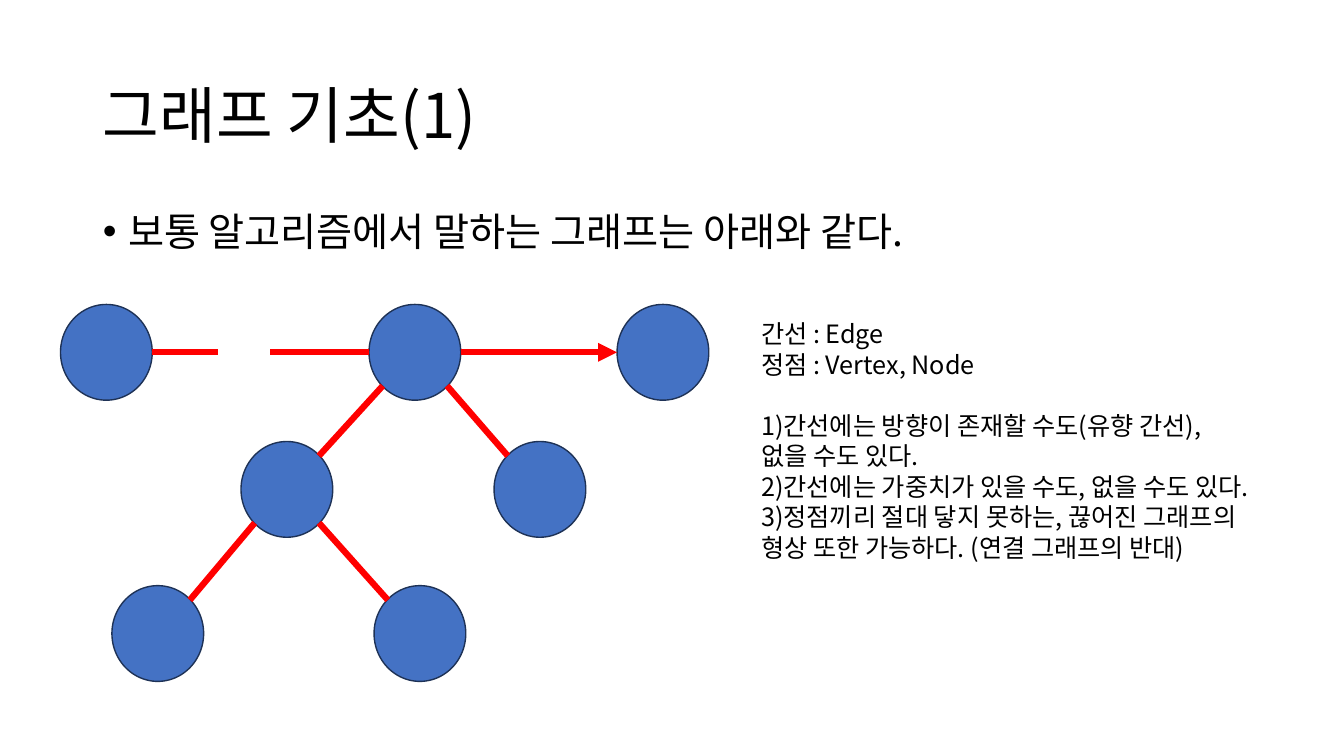
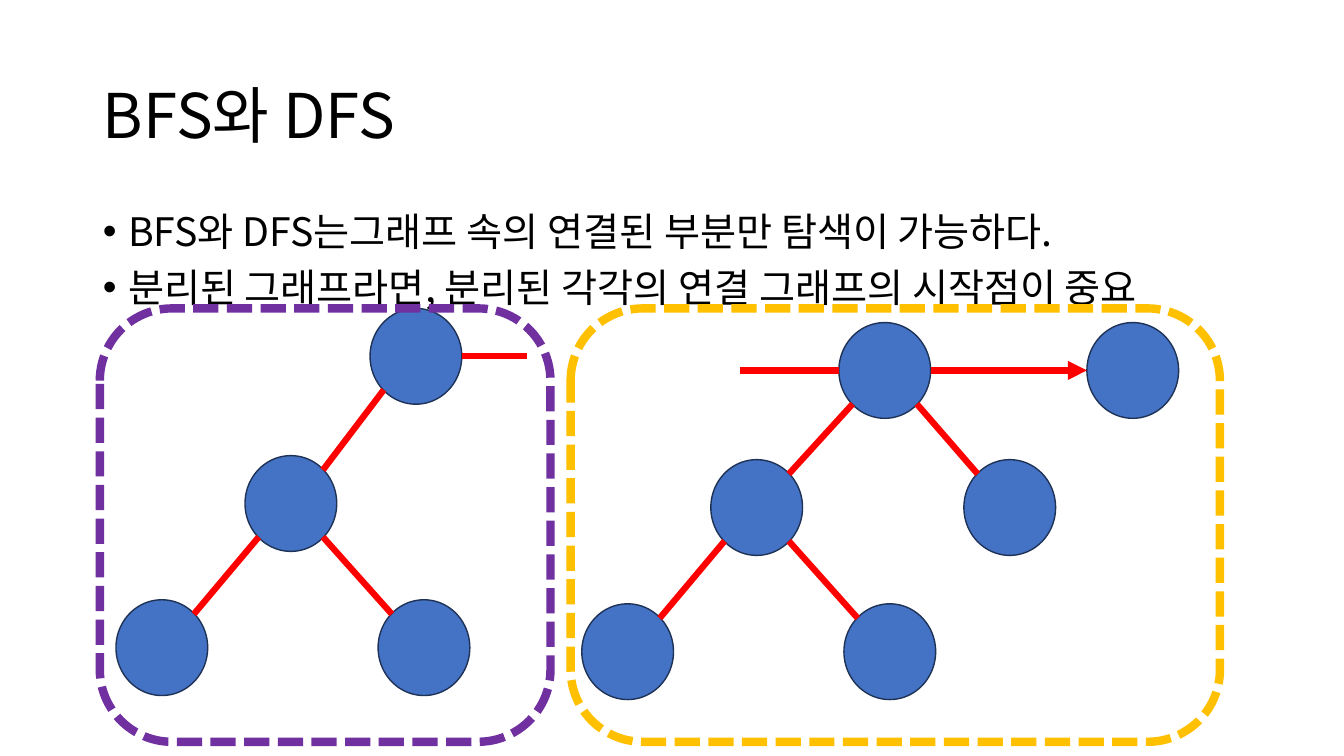
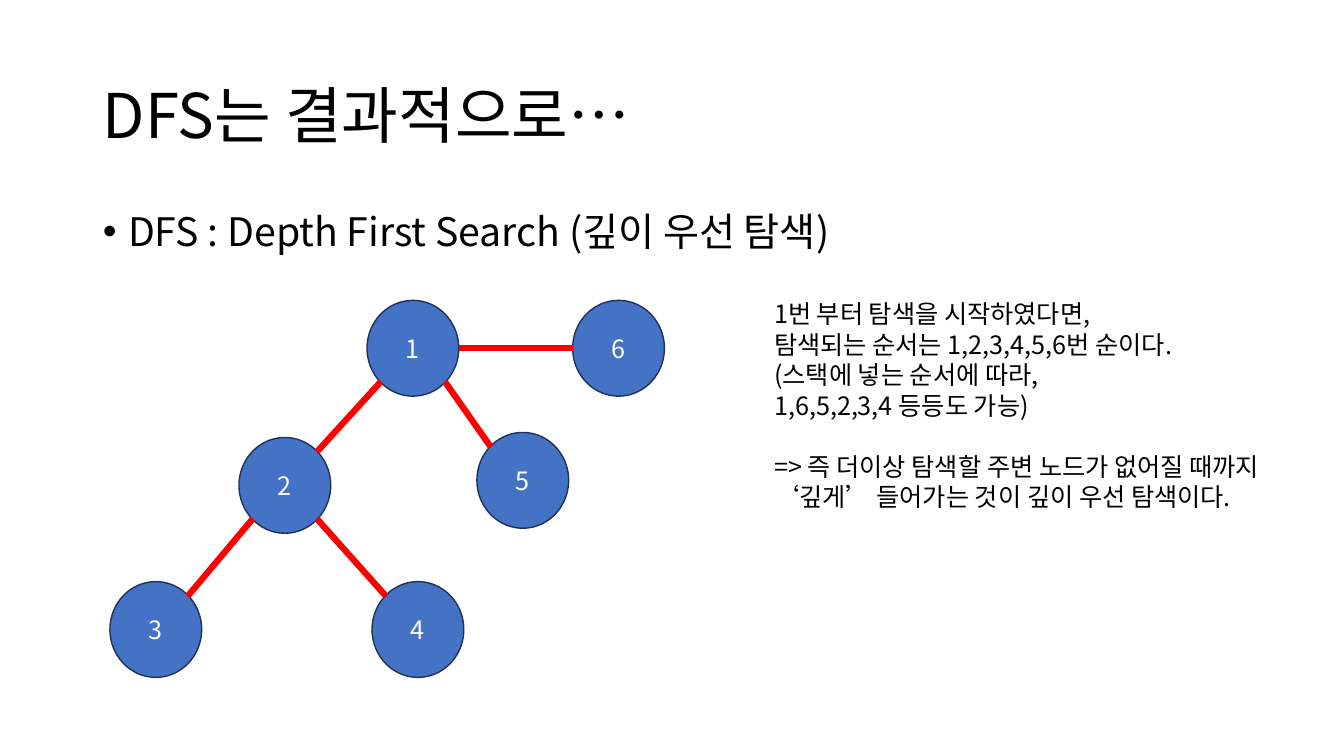
import pptx
import pptx.util
import pptx.dml.color
import pptx.enum.dml
import pptx.enum.shapes
import pptx.enum.text
import pptx.oxml
import pptx.oxml.ns

PX = 9144
FONT = "Noto Sans CJK KR"
COLORS = {
    "text": "000000",
    "label": "FFFFFF",
    "node": "4472C4",
    "outline": "1E3256",
    "edge": "FF0000",
    "left frame": "7030A0",
    "right frame": "FFC000",
}
NODE_WIDTH, NODE_HEIGHT = 91, 95
SITES = {
    "E": (1, 0.5), "W": (0, 0.5),
    "NE": (0.85, 0.15), "NW": (0.15, 0.15),
    "SE": (0.85, 0.85), "SW": (0.15, 0.85),
}
ALIGN = pptx.enum.text.PP_ALIGN
ANCHOR = pptx.enum.text.MSO_ANCHOR
SHAPE = pptx.enum.shapes.MSO_SHAPE


def write_text(text_frame, lines, size=18, color="text", align=ALIGN.LEFT,
               anchor=ANCHOR.TOP, pitch=21.8, gaps={}, bullet=False):
    text_frame.word_wrap = True
    text_frame.auto_size = pptx.enum.text.MSO_AUTO_SIZE.NONE
    text_frame.vertical_anchor = anchor
    for index, line in enumerate(lines):
        paragraph = text_frame.add_paragraph() if index else text_frame.paragraphs[0]
        paragraph.alignment = align
        paragraph.line_spacing = pptx.util.Pt(pitch)
        paragraph.space_before = pptx.util.Pt(gaps.get(index, 0))
        if bullet:
            properties = paragraph._p.get_or_add_pPr()
            properties.set("marL", str(25 * PX))
            properties.set("indent", str(-25 * PX))
        run = paragraph.add_run()
        run.text = line
        run.font.size = pptx.util.Pt(size)
        run.font.name = FONT
        run.font.color.rgb = pptx.dml.color.RGBColor.from_string(COLORS[color])
        east_asian = pptx.oxml.parse_xml(
            f'<a:ea {pptx.oxml.ns.nsdecls("a")} typeface="{FONT}"/>')
        run.font._element.find(pptx.oxml.ns.qn("a:latin")).addnext(east_asian)


def draw_edge(slide, start, end, arrow=False):
    connector = slide.shapes.add_connector(
        pptx.enum.shapes.MSO_CONNECTOR.STRAIGHT,
        *[round(length * PX) for length in (*start, *end)])
    connector.line.width = pptx.util.Pt(4.5)
    connector.line.color.rgb = pptx.dml.color.RGBColor.from_string(COLORS["edge"])
    if arrow:
        connector.line._get_or_add_ln().append(pptx.oxml.parse_xml(
            f'<a:tailEnd {pptx.oxml.ns.nsdecls("a")} type="triangle"/>'))
    connector._element.spPr.append(
        pptx.oxml.parse_xml(f'<a:effectLst {pptx.oxml.ns.nsdecls("a")}/>'))


BRANCH = {"root": (366, 302), "middle": (239, 438), "low left": (111, 581), "low right": (371, 581)}
BRANCH_EDGES = [
    ("root", "SW", "middle", "NE"),
    ("middle", "SW", "low left", "NE"),
    ("middle", "SE", "low right", "NW"),
]
TREE = {**BRANCH, "right": (490, 438), "far": (612, 302)}
TREE_EDGES = BRANCH_EDGES + [("root", "SE", "right", "NW"), ("root", "E", "far", "W")]

SLIDES = [
    {
        "title": "그래프 기초(1)",
        "body": ["보통 알고리즘에서 말하는 그래프는 아래와 같다."],
        "body width": 1150,
        "graphs": [{
            "nodes": {**TREE, "alone": (60, 302)}, "offset": (0, 0), "edges": TREE_EDGES,
            "stubs": [("alone", "E", 65), ("root", "W", -98)], "arrow": "far",
        }],
        "note box": (745, 311, 497, 313),
        "note": [
            "간선 : Edge",
            "정점 : Vertex, Node",
            "1)간선에는 방향이 존재할 수도(유향 간선), 없을 수도 있다.",
            "2)간선에는 가중치가 있을 수도, 없을 수도 있다.",
            "3)정점끼리 절대 닿지 못하는, 끊어진 그래프의 형상 또한 가능하다. (연결 그래프의 반대)",
        ],
        "gap before": 2,
    },
    {
        "title": "BFS와 DFS",
        "body": [
            "BFS와 DFS는그래프 속의 연결된 부분만 탐색이 가능하다.",
            "분리된 그래프라면, 분리된 각각의 연결 그래프의 시작점이 중요",
        ],
        "body width": 1171,
        "graphs": [
            {"nodes": TREE, "offset": (466, 18), "edges": TREE_EDGES,
             "stubs": [("root", "W", -98)], "arrow": "far"},
            {"nodes": {**BRANCH, "root": (363, 292)}, "offset": (4, 14), "edges": BRANCH_EDGES,
             "stubs": [("root", "E", 65)]},
        ],
        "frames": [("left frame", 99, 447), ("right frame", 566, 644)],
    },
    {
        "title": "DFS는 결과적으로…",
        "body": ["DFS : Depth First Search (깊이 우선 탐색)"],
        "body width": 1171,
        "graphs": [{
            "nodes": {**TREE, "right": (475, 433), "far": (570, 302)},
            "offset": (-2, -4), "edges": TREE_EDGES, "stubs": [],
            "labels": {"root": "1", "middle": "2", "low left": "3",
                       "low right": "4", "right": "5", "far": "6"},
        }],
        "note box": (758, 291, 504, 252),
        "note": [
            "1번 부터 탐색을 시작하였다면,",
            "탐색되는 순서는 1,2,3,4,5,6번 순이다.",
            "(스택에 넣는 순서에 따라,",
            "1,6,5,2,3,4 등등도 가능)",
            "=> 즉 더이상 탐색할 주변 노드가 없어질 때까지 ‘깊게’ 들어가는 것이 깊이 우선 탐색이다.",
        ],
        "gap before": 4,
    },
]

presentation = pptx.Presentation()
presentation.slide_width = 1333 * PX
presentation.slide_height = 750 * PX

for content in SLIDES:
    slide = presentation.slides.add_slide(presentation.slide_layouts[1])
    title, body = slide.placeholders
    title.left, title.top, title.width, title.height = [n * PX for n in (92, 40, 1150, 145)]
    write_text(title.text_frame, [content["title"]], size=44, anchor=ANCHOR.MIDDLE, pitch=53)
    body.left, body.top, body.width, body.height = [
        n * PX for n in (92, 200, content["body width"], 476)]
    write_text(body.text_frame, content["body"], size=28, pitch=34, gaps={1: 6}, bullet=True)

    for graph in content["graphs"]:
        offset_x, offset_y = graph["offset"]
        sites = {}
        for name, (x, y) in graph["nodes"].items():
            left, top = x + offset_x, y + offset_y
            node = slide.shapes.add_shape(
                SHAPE.OVAL, left * PX, top * PX, NODE_WIDTH * PX, NODE_HEIGHT * PX)
            node.shadow.inherit = False
            node.fill.solid()
            node.fill.fore_color.rgb = pptx.dml.color.RGBColor.from_string(COLORS["node"])
            node.line.color.rgb = pptx.dml.color.RGBColor.from_string(COLORS["outline"])
            node.line.width = pptx.util.Pt(1)
            if "labels" in graph:
                write_text(node.text_frame, [graph["labels"][name]], color="label",
                           align=ALIGN.CENTER, anchor=ANCHOR.MIDDLE)
            for site, (across, down) in SITES.items():
                sites[name, site] = (left + across * NODE_WIDTH, top + down * NODE_HEIGHT)
        for first, first_site, second, second_site in graph["edges"]:
            draw_edge(slide, sites[first, first_site], sites[second, second_site],
                      arrow=second == graph.get("arrow"))
        for name, site, length in graph["stubs"]:
            x, y = sites[name, site]
            draw_edge(slide, (x, y), (x + length, y))

    for color, left, width in content.get("frames", []):
        frame = slide.shapes.add_shape(
            SHAPE.ROUNDED_RECTANGLE, left * PX, 306 * PX, width * PX, 430 * PX)
        frame.shadow.inherit = False
        frame.fill.background()
        frame.line.color.rgb = pptx.dml.color.RGBColor.from_string(COLORS[color])
        frame.line.width = pptx.util.Pt(6)
        frame.line.dash_style = pptx.enum.dml.MSO_LINE.SQUARE_DOT

    if "note" in content:
        note = slide.shapes.add_textbox(*[n * PX for n in content["note box"]])
        write_text(note.text_frame, content["note"], gaps={content["gap before"]: 21.8})

presentation.save("out.pptx")
